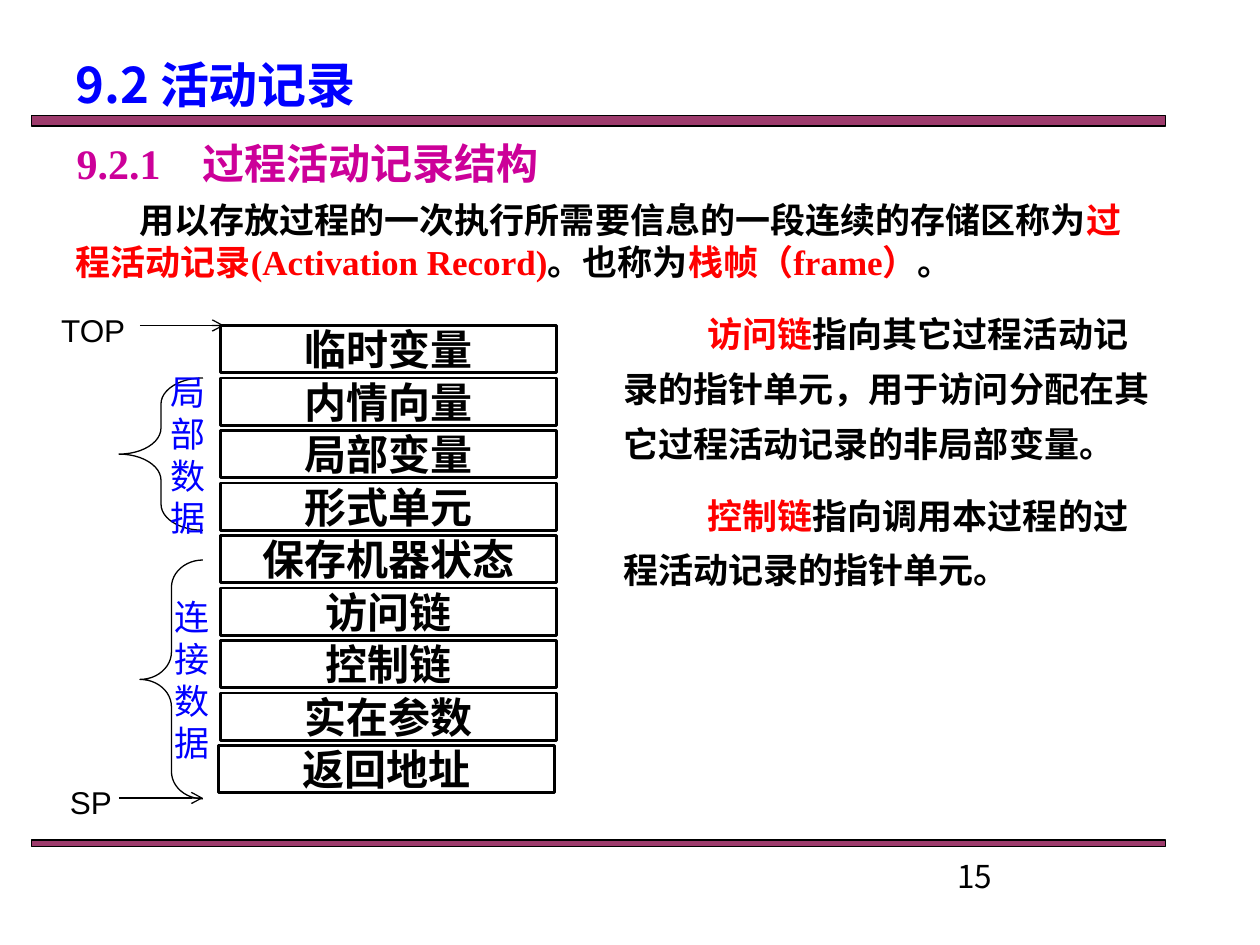
from lxml import etree
from pptx import Presentation
from pptx.dml.color import RGBColor
from pptx.enum.shapes import MSO_CONNECTOR, MSO_SHAPE
from pptx.enum.text import MSO_ANCHOR, MSO_AUTO_SIZE, PP_ALIGN
from pptx.oxml.ns import qn
from pptx.util import Pt

RECTANGLE, BRACE = MSO_SHAPE.RECTANGLE, MSO_SHAPE.LEFT_BRACE
STRAIGHT = MSO_CONNECTOR.STRAIGHT
TOP, MIDDLE = MSO_ANCHOR.TOP, MSO_ANCHOR.MIDDLE
LEFT, CENTER = PP_ALIGN.LEFT, PP_ALIGN.CENTER
NO_RESIZE = MSO_AUTO_SIZE.NONE
SANS, ROMAN, CHINESE = "Arial", "Times New Roman", "Noto Sans CJK SC"
BLACK, BLUE, RED, MAGENTA, PLUM = "000000", "0000FF", "FF0000", "CC0099", "993366"


def colour(value):
    return RGBColor.from_string(value)


class Slide:
    def __init__(self, deck):
        self.page = deck.slides.add_slide(deck.slide_layouts[6])

    def fill_text(self, frame, paragraphs, size, font, ink=BLACK, bold=False, align=LEFT,
                  anchor=TOP, wrap=True, indent=0, spacing=None, before=0):
        frame.auto_size = NO_RESIZE
        frame.word_wrap = wrap
        frame.vertical_anchor = anchor
        for index, spans in enumerate(paragraphs):
            para = frame.paragraphs[0] if index == 0 else frame.add_paragraph()
            para.alignment = align
            para.font.size, para.font.name, para.font.bold = Pt(size), font, bold
            para.space_before = Pt(before)
            if spacing:
                para.line_spacing = spacing
            if indent:
                para._p.get_or_add_pPr().set("indent", str(Pt(indent)))
            for words, span_ink in [(spans, ink)] if isinstance(spans, str) else spans:
                span = para.add_run()
                span.text = words
                span.font.color.rgb = colour(span_ink)

    def text(self, left, top, width, height, paragraphs, size, font, **style):
        box = self.page.shapes.add_textbox(Pt(left), Pt(top), Pt(width), Pt(height))
        self.fill_text(box.text_frame, paragraphs, size, font, **style)

    def shape(self, kind, left, top, width, height, weight=0.75):
        shape = self.page.shapes.add_shape(kind, Pt(left), Pt(top), Pt(width), Pt(height))
        shape.shadow.inherit = False
        shape.fill.background()
        shape.line.color.rgb = colour(BLACK)
        shape.line.width = Pt(weight)
        return shape

    def rule(self, top, height):
        bar = self.shape(RECTANGLE, 18, top, 648, height)
        bar.fill.solid()
        bar.fill.fore_color.rgb = colour(PLUM)
        tint = bar._element.spPr.find(qn("a:solidFill"))[0]
        etree.SubElement(tint, qn("a:alpha"), val="96000")

    def cell(self, left, top, label):
        box = self.shape(RECTANGLE, left, top, 192, 27, 1.5)
        self.fill_text(box.text_frame, [label], 24, SANS, bold=True, align=CENTER,
                       anchor=MIDDLE, wrap=False)

    def brace(self, left, top, width, height, curl, label):
        brace = self.shape(BRACE, left, top, width, height)
        brace.adjustments[0], brace.adjustments[1] = curl, 0.5
        self.fill_text(brace.text_frame, list(label), 20, SANS, ink=BLUE, align=CENTER,
                       anchor=MIDDLE, wrap=False)

    def arrow(self, left, top, length):
        arrow = self.page.shapes.add_connector(STRAIGHT, Pt(left), Pt(top),
                                               Pt(left + length), Pt(top))
        arrow.line.color.rgb = colour(BLACK)
        arrow.line.width = Pt(0.75)
        outline = arrow._element.spPr.find(qn("a:ln"))
        etree.SubElement(outline, qn("a:tailEnd"), type="arrow")
        etree.SubElement(arrow._element.spPr, qn("a:effectLst"))


deck = Presentation()
deck.slide_width, deck.slide_height = Pt(720), Pt(540)
slide = Slide(deck)

slide.rule(66, 6)
slide.rule(480, 3.75)
slide.text(36, 24, 648, 48, ["9.2 活动记录"], 28, CHINESE, ink=BLUE, bold=True, anchor=MIDDLE)
slide.text(36, 110, 630, 94, [[
    ("用以存放过程的一次执行所需要信息的一段连续的存储区称为", BLACK),
    ("过程活动记录(Activation Record)", RED),
    ("。也称为", BLACK),
    ("栈帧（frame）", RED),
    ("。", BLACK),
]], 20, ROMAN, bold=True, indent=36.5)

FIELDS = ["临时变量", "内情向量", "局部变量", "形式单元", "保存机器状态",
          "访问链", "控制链", "实在参数", "返回地址"]
for row, field in enumerate(FIELDS):
    slide.cell(124.8 if field == FIELDS[-1] else 126, 186 + 30 * row, field)

slide.brace(80, 320, 36, 136.5, 0.435, "连接数据")
slide.brace(68, 216, 48, 87, 0.31, "局部数据")

slide.arrow(68, 456, 48)
slide.text(27, 444, 50, 29, ["SP"], 18, SANS, align=CENTER)
slide.arrow(80, 186, 48)
slide.text(18, 174, 70.5, 29, ["TOP"], 18, SANS, align=CENTER)

slide.text(36.7, 72, 461.5, 42, ["9.2.1\u3000过程活动记录结构"], 24, ROMAN,
           ink=MAGENTA, bold=True, anchor=MIDDLE)
slide.text(349.2, 168, 316.8, 177, [
    [("访问链", RED),
     ("指向其它过程活动记录的指针单元，用于访问分配在其它过程活动记录的非局部变量。", BLACK)],
    [("控制链", RED), ("指向调用本过程的过程活动记录的指针单元。", BLACK)],
], 20, CHINESE, bold=True, indent=48, spacing=1.3, before=10)
slide.text(540, 486, 168, 19.5, ["15"], 18, CHINESE)

deck.save("out.pptx")
